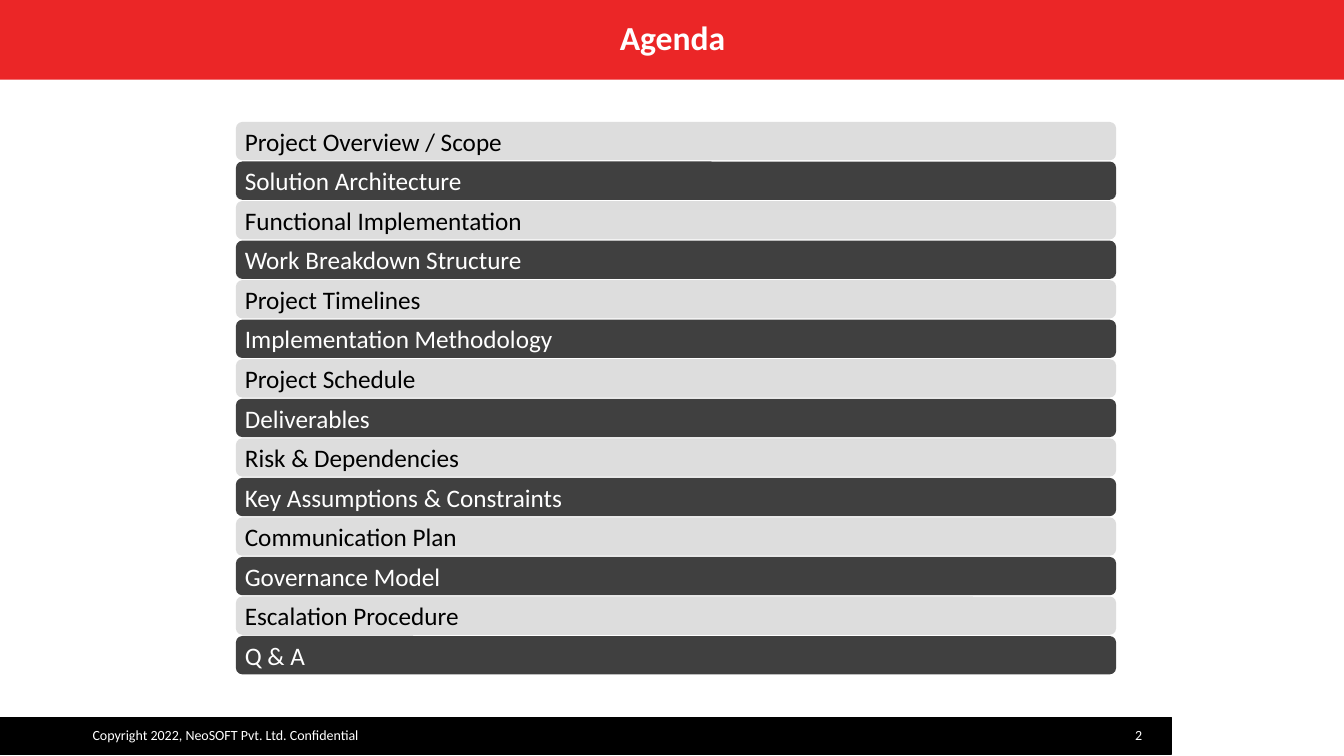
from pptx import Presentation
from pptx.dml.color import RGBColor
from pptx.enum.shapes import MSO_SHAPE as SHAPE
from pptx.enum.text import MSO_ANCHOR as ANCHOR, PP_ALIGN as ALIGN
from pptx.util import Inches, Pt

WIDTH, HEIGHT = 13.33, 7.5
RED, BLACK, WHITE = "EB2627", "000000", "FFFFFF"
LIGHT, DARK = "DDDDDD", "404040"

TOPICS = [
    "Project Overview / Scope",
    "Solution Architecture",
    "Functional Implementation",
    "Work Breakdown Structure",
    "Project Timelines",
    "Implementation Methodology",
    "Project Schedule",
    "Deliverables",
    "Risk & Dependencies",
    "Key Assumptions & Constraints",
    "Communication Plan",
    "Governance Model",
    "Escalation Procedure",
    "Q & A",
]


def add_bar(kind, left, top, width, height, color):
    bar = slide.shapes.add_shape(
        kind, Inches(left), Inches(top), Inches(width), Inches(height))
    bar.shadow.inherit = False
    bar.fill.solid()
    bar.fill.fore_color.rgb = RGBColor.from_string(color)
    bar.line.fill.background()
    return bar


def write(frame, text, size, color, align=ALIGN.LEFT, bold=False):
    frame.text = text
    paragraph = frame.paragraphs[0]
    paragraph.alignment = align
    font = paragraph.font
    font.name, font.size, font.bold = "Calibri", Pt(size), bold
    font.color.rgb = RGBColor.from_string(color)


prs = Presentation()
prs.slide_width, prs.slide_height = Inches(WIDTH), Inches(HEIGHT)
slide = prs.slides.add_slide(prs.slide_layouts[5])

# Footer
footer = add_bar(SHAPE.RECTANGLE, 0, 7.12, 11.62, 0.36, BLACK)
footer.line.color.rgb = RGBColor.from_string(BLACK)
footer.line.width = Pt(1)
for left, width, text, wraps in [
    (0.82, 4.6, "Copyright 2022, NeoSOFT Pvt. Ltd. Confidential", True),
    (11.16, 0.37, "2", False),
]:
    note = slide.shapes.add_textbox(
        Inches(left), Inches(7.16), Inches(width), Inches(0.27))
    note.text_frame.word_wrap = wraps
    write(note.text_frame, text, 10, WHITE)

# Header band, with the title brought in front of it
add_bar(SHAPE.RECTANGLE, 0, 0, WIDTH, 0.79, RED)
title = slide.shapes.title
title.left, title.top = Inches(0.92), Inches(0.1)
title.width, title.height = Inches(11.5), Inches(0.59)
title.text_frame.vertical_anchor = ANCHOR.MIDDLE
write(title.text_frame, "Agenda", 24, WHITE, ALIGN.CENTER, bold=True)
title.text_frame.paragraphs[0].line_spacing = 0.9
slide.shapes._spTree.append(title._element)

# Agenda rows between the first and the last top edge
first_top, last_top = 1.21, 6.31
pitch = (last_top - first_top) / (len(TOPICS) - 1)
for row, topic in enumerate(TOPICS):
    fill, ink = [(LIGHT, BLACK), (DARK, WHITE)][row % 2]
    bar = add_bar(SHAPE.ROUNDED_RECTANGLE,
                  2.34, first_top + row * pitch, 8.73, 0.38, fill)
    frame = bar.text_frame
    frame.margin_left = frame.margin_right = Inches(0.07)
    frame.margin_top = frame.margin_bottom = Inches(0.07)
    frame.vertical_anchor = ANCHOR.MIDDLE
    write(frame, topic, 18, ink)

prs.save("out.pptx")
